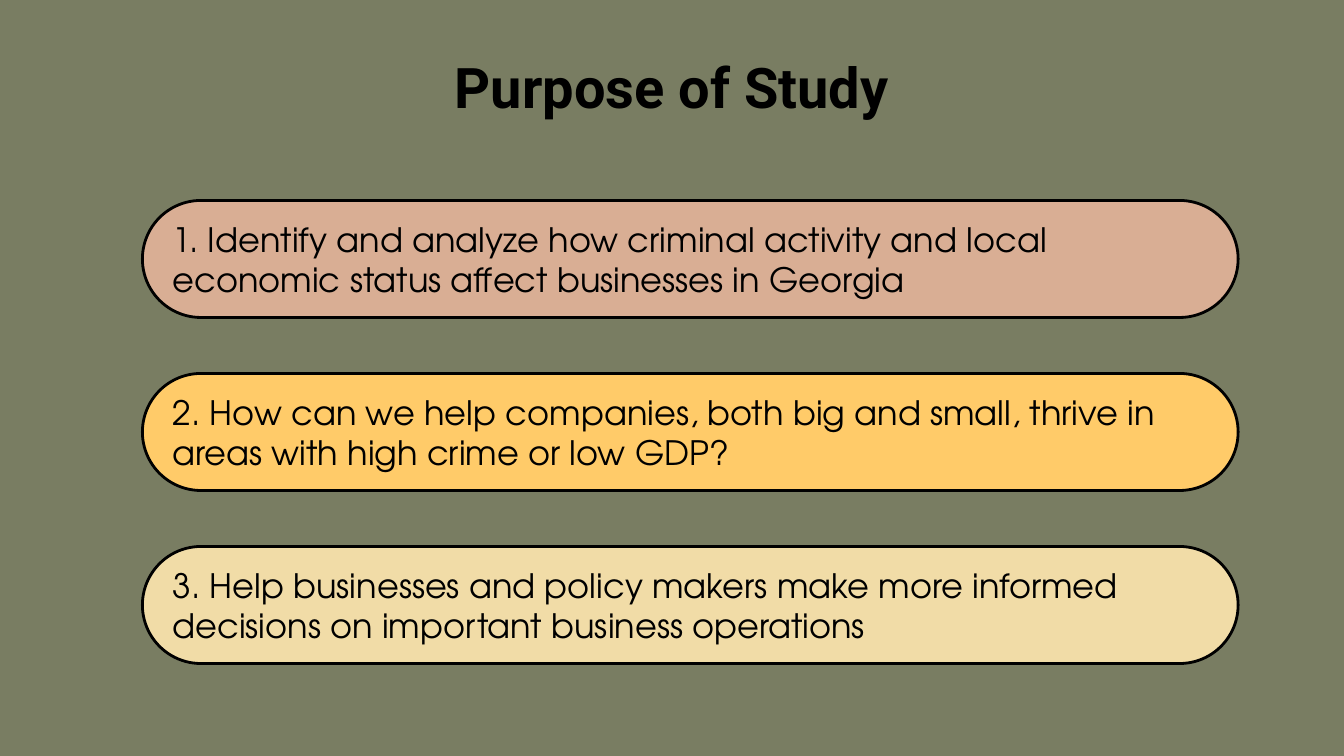
from pptx import Presentation
from pptx.dml.color import RGBColor
from pptx.enum.shapes import MSO_SHAPE
from pptx.enum.text import MSO_ANCHOR, MSO_AUTO_SIZE, PP_ALIGN
from pptx.util import Pt

BLACK = "000000"
GOALS = [
    ("1. Identify and analyze how criminal activity and local economic status "
     "affect businesses in Georgia", "D9AE94"),
    ("2. How can we help companies, both big and small, thrive in areas with "
     "high crime or low GDP?", "FFCB69"),
    ("3. Help businesses and policy makers make more informed decisions on "
     "important business operations", "F1DCA7"),
]


def paint(fill, color):
    """Make a fill solid in the given hex colour."""
    fill.solid()
    fill.fore_color.rgb = RGBColor.from_string(color)


def set_text(sp, text, font, size, align, anchor, bold=False):
    """Write one formatted paragraph into a shape."""
    tf = sp.text_frame
    tf.text = text
    tf.word_wrap = True
    tf.auto_size = MSO_AUTO_SIZE.NONE
    tf.vertical_anchor = anchor
    tf.margin_left = tf.margin_right = tf.margin_top = tf.margin_bottom = Pt(7.2)
    p = tf.paragraphs[0]
    p.alignment = align
    p.font.name, p.font.size, p.font.bold = font, Pt(size), bold
    paint(p.font.fill, BLACK)


def add_title(s, text):
    """Place and format the title placeholder."""
    sp = s.shapes.title
    sp.left, sp.top, sp.width, sp.height = Pt(36), Pt(21), Pt(648), Pt(45)
    set_text(sp, text, "Roboto", 30, PP_ALIGN.CENTER, MSO_ANCHOR.TOP, bold=True)


def add_pill(s, top, text, color):
    """Add an outlined pill holding one goal."""
    sp = s.shapes.add_shape(MSO_SHAPE.ROUNDED_RECTANGLE,
                            Pt(76.3), Pt(top), Pt(587), Pt(62.7))
    sp.adjustments[0] = 0.5
    sp.shadow.inherit = False
    paint(sp.fill, color)
    paint(sp.line.fill, BLACK)
    sp.line.width = Pt(1.5)
    set_text(sp, text, "TeX Gyre Adventor", 18, PP_ALIGN.LEFT, MSO_ANCHOR.MIDDLE)


def main():
    """Build and save the slide."""
    prs = Presentation()
    prs.slide_width, prs.slide_height = Pt(720), Pt(405)
    s = prs.slides.add_slide(prs.slide_layouts[5])
    paint(s.background.fill, "797D62")
    add_title(s, "Purpose of Study")
    for i, (text, color) in enumerate(GOALS):
        add_pill(s, 107.4 + 92.7 * i, text, color)
    prs.save("out.pptx")


if __name__ == "__main__":
    main()
